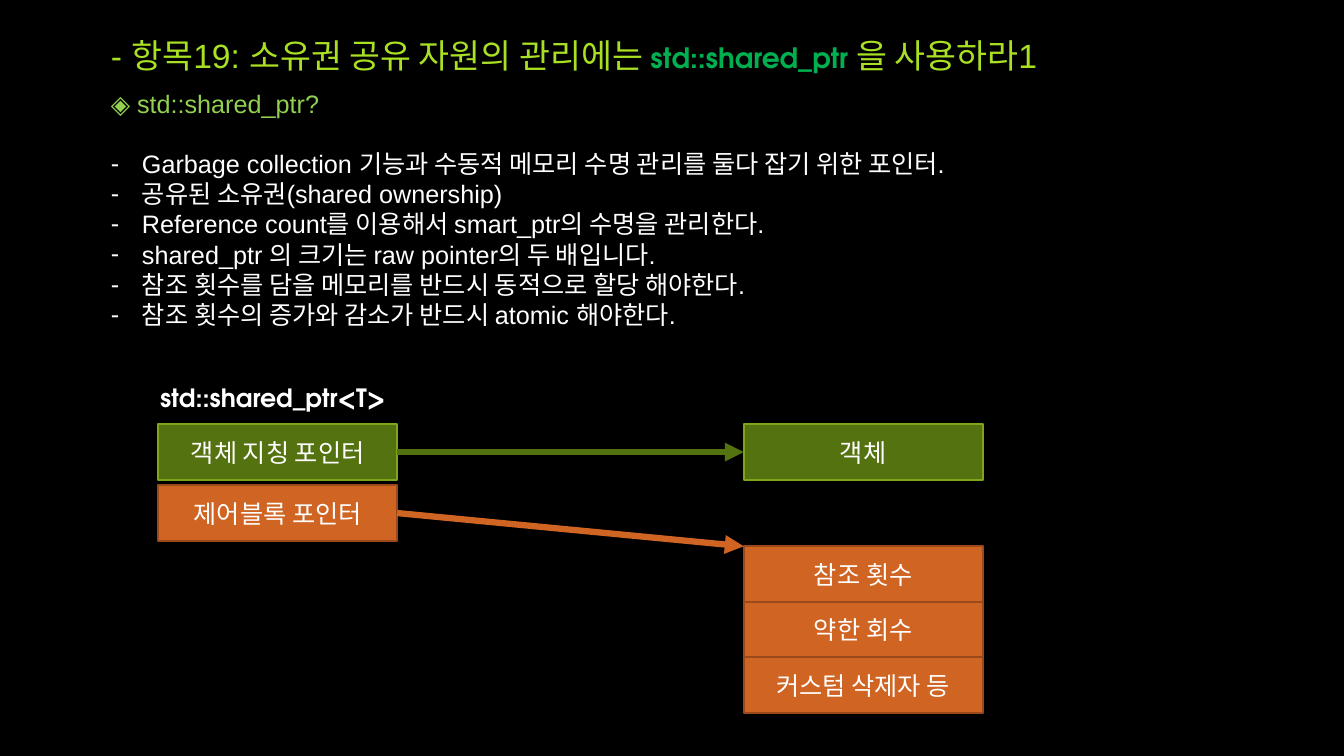
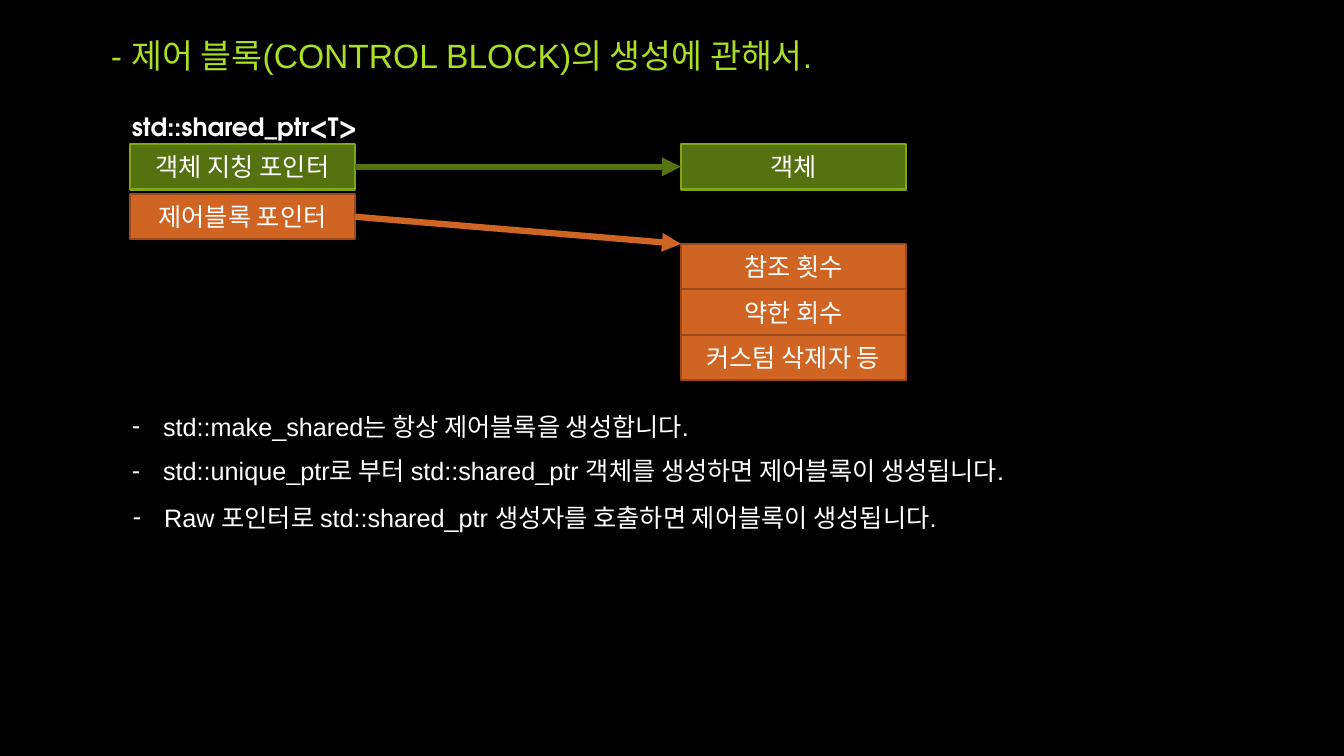
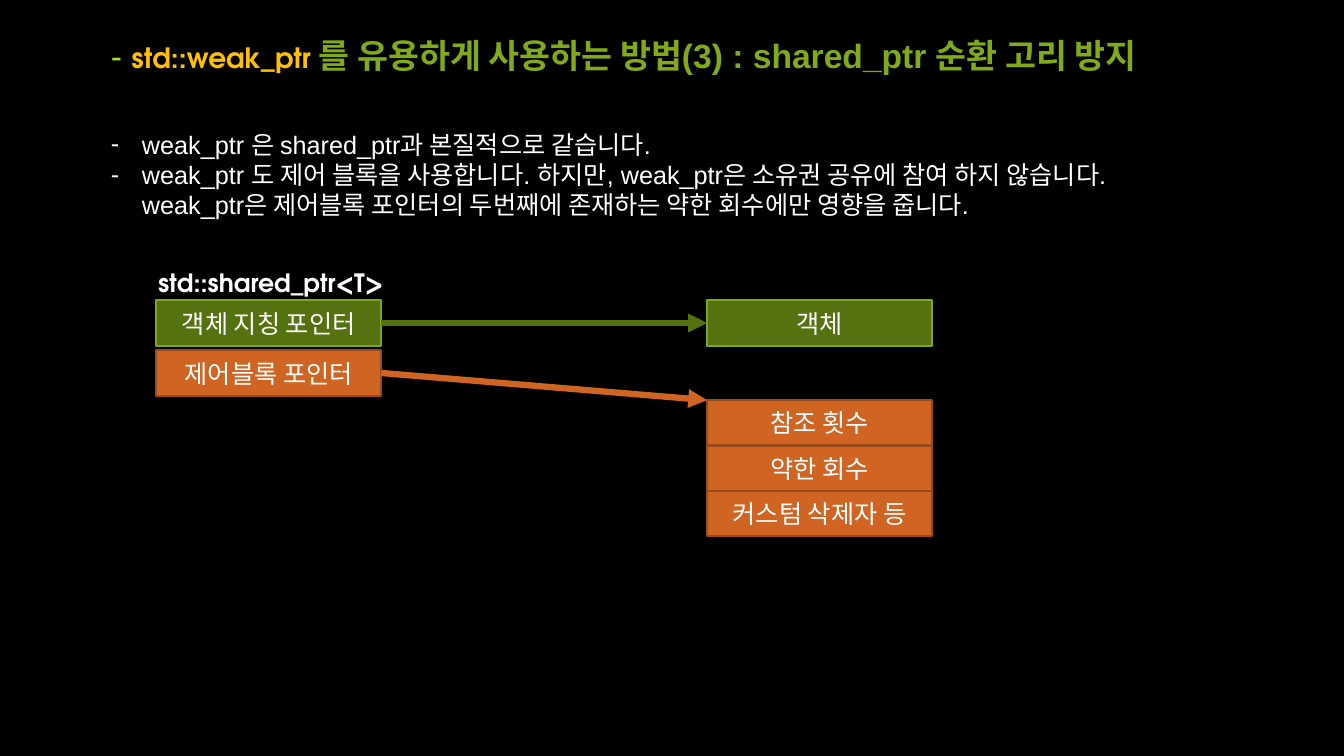
from dataclasses import dataclass

from lxml import etree
from pptx import Presentation
from pptx.dml.color import RGBColor
from pptx.enum.shapes import MSO_CONNECTOR, MSO_SHAPE
from pptx.enum.text import MSO_ANCHOR, MSO_AUTO_SIZE, PP_ALIGN
from pptx.oxml.ns import qn
from pptx.util import Inches, Pt

RECT = MSO_SHAPE.RECTANGLE
LINE = MSO_CONNECTOR.STRAIGHT
MID = MSO_ANCHOR.MIDDLE
GROW = MSO_AUTO_SIZE.SHAPE_TO_FIT_TEXT
FIXED = MSO_AUTO_SIZE.NONE
JUST = PP_ALIGN.JUSTIFY
MIDDLE = PP_ALIGN.CENTER
TITLE_ONLY = 5


@dataclass(frozen=True)
class Theme:
    back: str = "000000"
    text: str = "FFFFFF"
    lime: str = "A9E023"
    leaf: str = "80AA18"
    mint: str = "00B050"
    gold: str = "FFC000"
    head: str = "92D050"
    green: tuple = ("557210", "7DA61A")
    rust: tuple = ("D06423", "9A4A1A")
    sans: str = "Arial"
    code: str = "TeX Gyre Adventor"
    big: int = 24
    term: int = 20
    body: int = 18
    edge: float = 1.5
    arrow: float = 4.5


class Deck:
    def __init__(self, theme):
        self.theme = theme
        self.prs = Presentation()
        self.prs.slide_width = Inches(13.33)
        self.prs.slide_height = Inches(7.5)
        self.paint(self.prs.slide_master.background.fill, theme.back)
        self.slide = None

    def paint(self, fill, color):
        fill.solid()
        fill.fore_color.rgb = RGBColor.from_string(color)

    def run(self, para, text, size, color, font, bold=False):
        run = para.add_run()
        run.text = text
        run.font.size = Pt(size)
        run.font.name = font
        run.font.bold = bold
        run.font.color.rgb = RGBColor.from_string(color)

    def title(self, parts, width=10.83):
        self.slide = self.prs.slides.add_slide(
            self.prs.slide_layouts[TITLE_ONLY])
        box = self.slide.shapes.title
        box.left, box.top = Inches(1), Inches(0.12)
        box.width, box.height = Inches(width), Inches(0.86)
        frame = box.text_frame
        frame.word_wrap = True
        frame.auto_size = FIXED
        frame.vertical_anchor = MID
        para = frame.paragraphs[0]
        para.alignment = JUST
        for part in parts:
            self.run(para, *part)

    def frame(self, shapes, x, y, w, h):
        box = shapes.add_textbox(Inches(x), Inches(y), Inches(w), Inches(h))
        frame = box.text_frame
        frame.word_wrap = True
        frame.auto_size = GROW
        return frame

    def dash(self, para):
        props = para._p.get_or_add_pPr()
        props.set("marL", str(Inches(0.31)))
        props.set("indent", str(-Inches(0.31)))
        etree.SubElement(props, qn("a:buFont")).set("typeface", self.theme.sans)
        etree.SubElement(props, qn("a:buChar")).set("char", "-")

    def notes(self, x, y, h, items, head=None):
        look = self.theme
        frame = self.frame(self.slide.shapes, x, y, 10.61, h)
        para = frame.paragraphs[0]
        if head:
            self.run(para, head, look.body, look.head, look.sans)
            para.space_after = Pt(21)
            para = frame.add_paragraph()
        for spot, item in enumerate(items):
            if spot:
                para = frame.add_paragraph()
            self.dash(para)
            self.run(para, item, look.body, look.text, look.sans)

    def block(self, shapes, x, y, w, h, text, tone):
        look = self.theme
        box = shapes.add_shape(RECT, Inches(x), Inches(y), Inches(w), Inches(h))
        box.shadow.inherit = False
        self.paint(box.fill, tone[0])
        self.paint(box.line.fill, tone[1])
        box.line.width = Pt(look.edge)
        frame = box.text_frame
        frame.vertical_anchor = MID
        para = frame.paragraphs[0]
        para.alignment = MIDDLE
        self.run(para, text, look.body, look.text, look.code)

    def arrow(self, shapes, start, end, tone):
        line = shapes.add_connector(LINE, *map(Inches, start + end))
        self.paint(line.line.fill, tone[0])
        line.line.width = Pt(self.theme.arrow)
        stroke = line.line._get_or_add_ln()
        etree.SubElement(stroke, qn("a:tailEnd")).set("type", "triangle")
        etree.SubElement(line._element.spPr, qn("a:effectLst"))

    def diagram(self, x, y, w, h):
        look = self.theme
        shapes = self.slide.shapes.add_group_shape().shapes
        far = x + 2.45 * w
        step = 1.1 * h
        low = y + 2 * step
        self.block(shapes, x, y, w, h, "객체 지칭 포인터", look.green)
        self.block(shapes, x, y + step, w, h, "제어블록 포인터", look.rust)
        self.block(shapes, far, y, w, h, "객체", look.green)
        for row, text in enumerate(("참조 횟수", "약한 회수", "커스텀 삭제자 등")):
            self.block(shapes, far, low + row * h, w, h, text, look.rust)
        label = self.frame(shapes, x - 0.08, y - 0.84 * h, 1.21 * w, 0.73 * h)
        self.run(label.paragraphs[0], "std::shared_ptr<T>",
                 look.body, look.text, look.code, True)
        edge, mid = x + w, y + h / 2
        self.arrow(shapes, (edge, mid + step), (far, low), look.rust)
        self.arrow(shapes, (edge, mid), (far, mid), look.green)


def main():
    look = Theme()
    deck = Deck(look)

    deck.title([
        ("- 항목19: 소유권 공유 자원의 관리에는 ", look.big, look.lime, look.sans),
        ("std::shared_ptr ", look.term, look.mint, look.code, True),
        ("을 사용하라1", look.big, look.lime, look.sans),
    ])
    deck.notes(1, 0.83, 2.52, [
        "Garbage collection 기능과 수동적 메모리 수명 관리를 둘다 잡기 위한 포인터.",
        "공유된 소유권(shared ownership)",
        "Reference count를 이용해서 smart_ptr의 수명을 관리한다.",
        "shared_ptr 의 크기는 raw pointer의 두 배입니다.",
        "참조 횟수를 담을 메모리를 반드시 동적으로 할당 해야한다.",
        "참조 횟수의 증가와 감소가 반드시 atomic 해야한다.",
    ], "◈ std::shared_ptr?")
    deck.diagram(1.57, 4.21, 2.37, 0.55)

    deck.title([
        ("- 제어 블록(CONTROL BLOCK)의 생성에 관해서.",
         look.big, look.lime, look.sans),
    ])
    deck.diagram(1.29, 1.43, 2.23, 0.45)
    for x, y, text in (
        (1.21, 4.03, "std::make_shared는 항상 제어블록을 생성합니다."),
        (1.21, 4.47, "std::unique_ptr로 부터 std::shared_ptr 객체를 생성하면 "
                     "제어블록이 생성됩니다."),
        (1.22, 4.93, "Raw 포인터로 std::shared_ptr 생성자를 호출하면 "
                     "제어블록이 생성됩니다."),
    ):
        deck.notes(x, y, 0.4, [text])

    deck.title([
        ("- ", look.big, look.lime, look.sans),
        ("std::weak_ptr ", look.term, look.gold, look.code, True),
        ("를 유용하게 사용하는 방법(3) : shared_ptr 순환 고리 방지",
         look.big, look.leaf, look.sans, True),
    ], 11.58)
    deck.notes(1, 1.23, 1.31, [
        "weak_ptr 은 shared_ptr과 본질적으로 같습니다.",
        "weak_ptr 도 제어 블록을 사용합니다. 하지만, weak_ptr은 소유권 공유에 "
        "참여 하지 않습니다. weak_ptr은 제어블록 포인터의 두번째에 존재하는 "
        "약한 회수에만 영향을 줍니다.",
    ])
    deck.diagram(1.55, 2.98, 2.23, 0.45)

    deck.prs.save("out.pptx")


if __name__ == "__main__":
    main()
